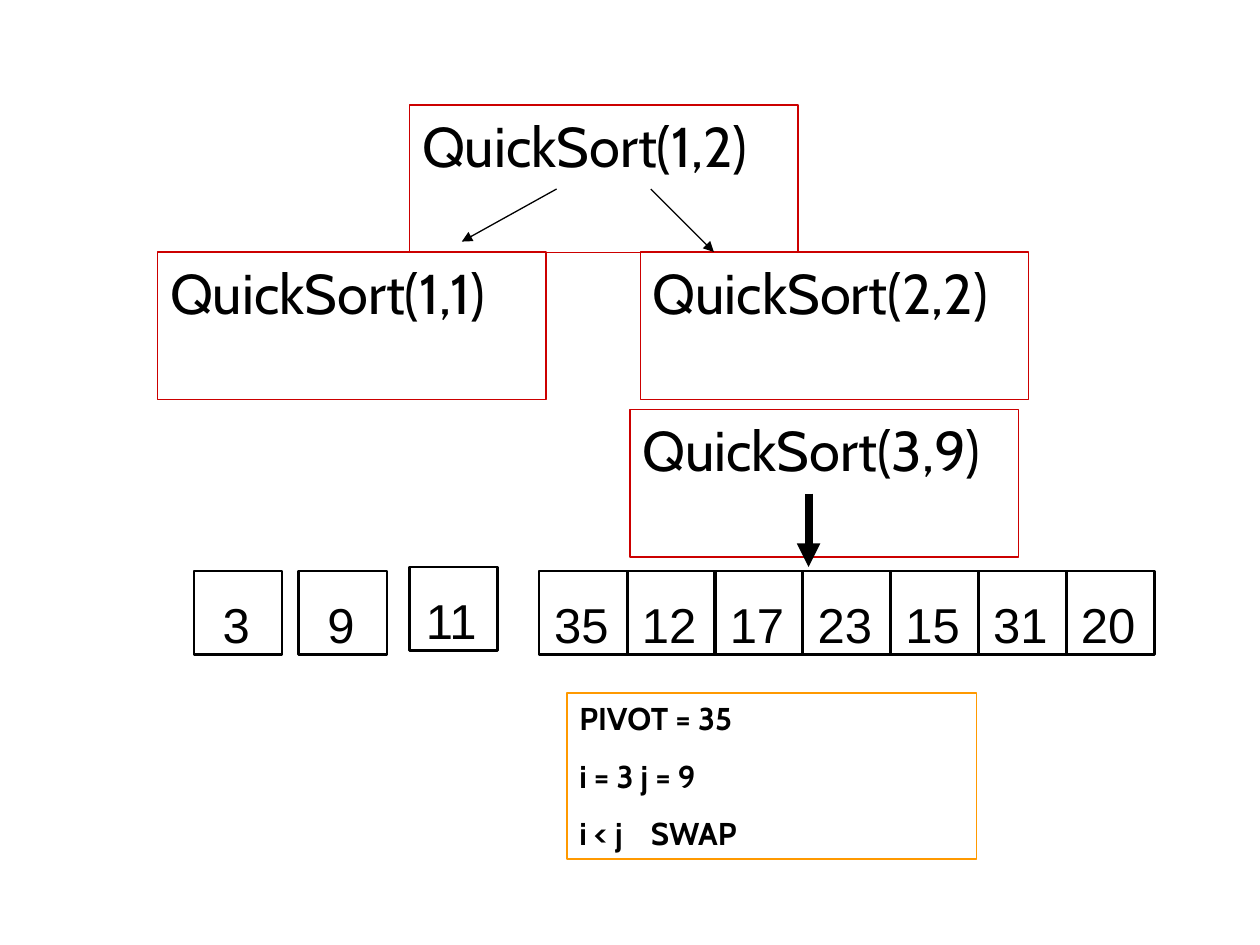
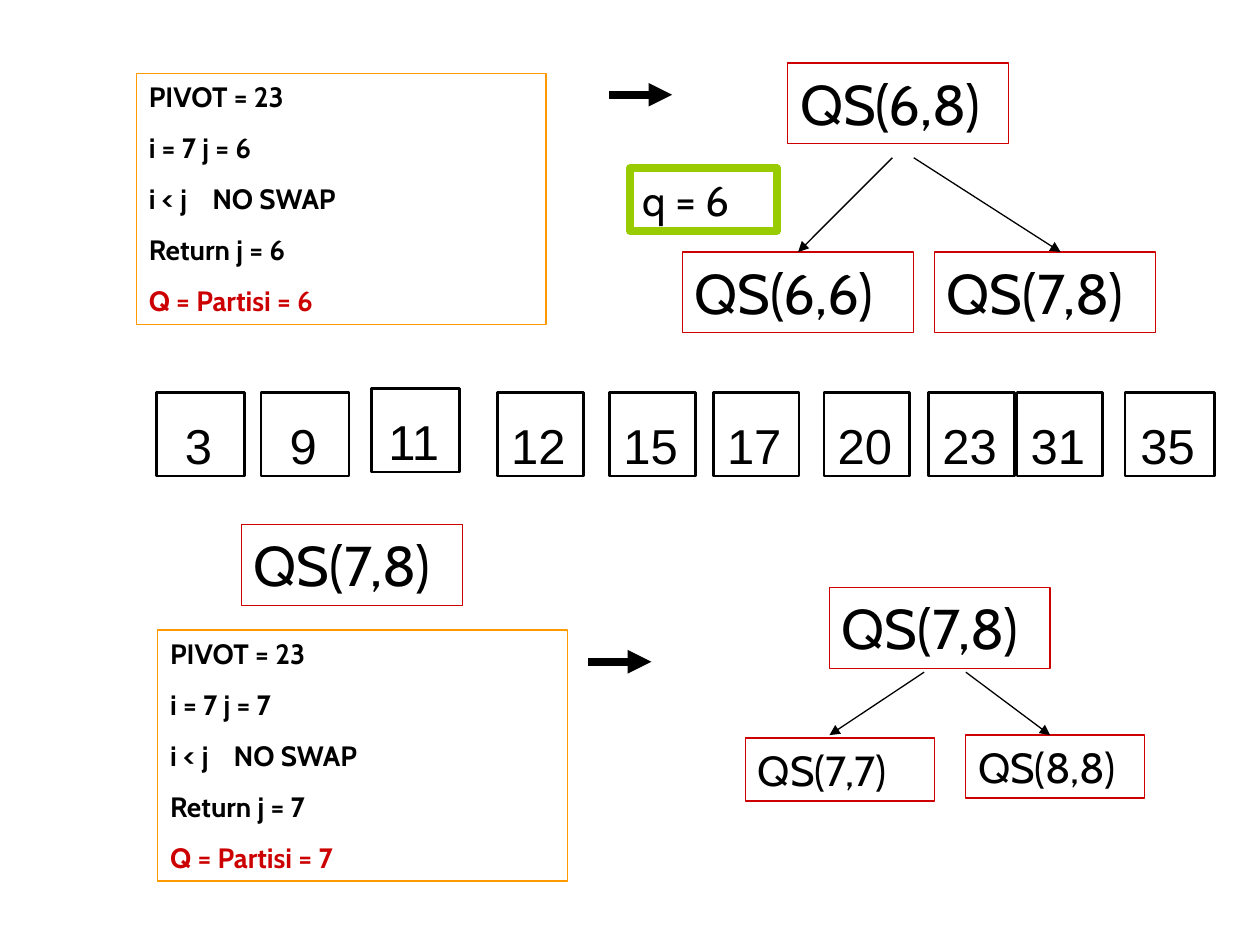
from dataclasses import dataclass

import pptx
import pptx.dml.color
import pptx.enum.shapes
import pptx.enum.text
import pptx.oxml.ns
import pptx.slide
import pptx.text.text
import pptx.util
from lxml import etree
from pptx.util import Cm

BLACK = pptx.dml.color.RGBColor(0x00, 0x00, 0x00)
RED = pptx.dml.color.RGBColor(0xCC, 0x00, 0x00)
ORANGE = pptx.dml.color.RGBColor(0xFF, 0x99, 0x00)
GREEN = pptx.dml.color.RGBColor(0x99, 0xCC, 0x00)

CODE_FONT = "Cabin"
NUMBER_FONT = "Arial"
THIN, CELL_BORDER, THICK = 0.75, 1.5, 4.5
CELL_HEIGHT = 1.69
CELL_PITCH = 1.77


@dataclass(frozen=True)
class Call:
    text: str
    left: float
    top: float
    width: float = 4.45
    height: float = 1.63
    size: int = 32
    border: pptx.dml.color.RGBColor = RED
    weight: float = THIN


@dataclass(frozen=True)
class Trace:
    steps: tuple[str, ...]
    left: float
    top: float
    height: float
    size: int
    width: float = 8.26


@dataclass(frozen=True)
class Cell:
    number: int
    left: float
    top: float
    width: float = 1.78


@dataclass(frozen=True)
class Arrow:
    start: tuple[float, float]
    end: tuple[float, float]
    weight: float = THIN


def format_runs(paragraph: pptx.text.text._Paragraph, font_name: str, size: int,
                color: pptx.dml.color.RGBColor = BLACK, bold: bool = False) -> None:
    for run in paragraph.runs:
        run.font.name = font_name
        run.font.size = pptx.util.Pt(size)
        run.font.color.rgb = color
        run.font.bold = bold


def draw_frame(slide: pptx.slide.Slide, left: float, top: float, width: float, height: float,
               border: pptx.dml.color.RGBColor, weight: float) -> pptx.text.text.TextFrame:
    frame = slide.shapes.add_shape(pptx.enum.shapes.MSO_SHAPE.RECTANGLE,
                                   Cm(left), Cm(top), Cm(width), Cm(height))
    frame.shadow.inherit = False
    frame.fill.background()
    frame.line.color.rgb = border
    frame.line.width = pptx.util.Pt(weight)
    frame.text_frame.word_wrap = True
    frame.text_frame.vertical_anchor = pptx.enum.text.MSO_ANCHOR.TOP
    return frame.text_frame


def draw_call(slide: pptx.slide.Slide, call: Call) -> None:
    content = draw_frame(slide, call.left, call.top, call.width, call.height,
                         call.border, call.weight)
    content.text = call.text
    content.paragraphs[0].alignment = pptx.enum.text.PP_ALIGN.LEFT
    format_runs(content.paragraphs[0], CODE_FONT, call.size)


def add_tab_stop(paragraph: pptx.text.text._Paragraph, position: float) -> None:
    properties = paragraph._p.get_or_add_pPr()
    stops = etree.SubElement(properties, pptx.oxml.ns.qn("a:tabLst"))
    etree.SubElement(stops, pptx.oxml.ns.qn("a:tab"), pos=str(Cm(position)), algn="l")


def draw_trace(slide: pptx.slide.Slide, trace: Trace) -> None:
    content = draw_frame(slide, trace.left, trace.top, trace.width, trace.height, ORANGE, THIN)
    content.text = "\n".join(trace.steps)
    for index, (paragraph, step) in enumerate(zip(content.paragraphs, trace.steps)):
        paragraph.alignment = pptx.enum.text.PP_ALIGN.LEFT
        if index:
            paragraph.space_before = pptx.util.Pt(trace.size * 0.625)
        if "\t" in step:
            add_tab_stop(paragraph, trace.size * 0.08)
        color = RED if step.startswith("Q") else BLACK
        format_runs(paragraph, CODE_FONT, trace.size, color, bold=True)


def draw_cell(slide: pptx.slide.Slide, cell: Cell) -> None:
    draw_frame(slide, cell.left, cell.top, cell.width, CELL_HEIGHT, BLACK, CELL_BORDER)
    label_width = 1.04 if cell.number < 10 else 1.6
    label_left = cell.left + (cell.width - label_width) / 2 - 0.04
    label = slide.shapes.add_textbox(Cm(label_left), Cm(cell.top + 0.35),
                                     Cm(label_width), Cm(1.44)).text_frame
    label.word_wrap = False
    label.text = str(cell.number)
    label.paragraphs[0].alignment = pptx.enum.text.PP_ALIGN.CENTER
    format_runs(label.paragraphs[0], NUMBER_FONT, 28)


def draw_arrow(slide: pptx.slide.Slide, arrow: Arrow) -> None:
    connector = slide.shapes.add_connector(pptx.enum.shapes.MSO_CONNECTOR.STRAIGHT,
                                           *(Cm(value) for value in arrow.start + arrow.end))
    connector.line.color.rgb = BLACK
    connector.line.width = pptx.util.Pt(arrow.weight)
    etree.SubElement(connector.line._get_or_add_ln(), pptx.oxml.ns.qn("a:tailEnd"),
                     type="triangle")
    etree.SubElement(connector._element.spPr, pptx.oxml.ns.qn("a:effectLst"))


def sorted_cells(left: float, top: float) -> list[Cell]:
    return [Cell(3, left, top), Cell(9, left + 2.11, top), Cell(11, left + 4.34, top - 0.08)]


def partition_steps(i: int, j: int) -> tuple[str, ...]:
    return ("PIVOT = 23", f"i = {i} j = {j}", "i < j\tNO SWAP",
            f"Return j = {j}", f"Q = Partisi = {j}")


def first_slide_parts() -> list[Call | Trace | Cell | Arrow]:
    calls = [Call(f"QuickSort({bounds})", left, top, 7.83, 2.97)
             for bounds, left, top in (("1,2", 8.26, 2.12), ("1,1", 3.18, 5.08),
                                       ("2,2", 12.91, 5.08), ("3,9", 12.7, 8.26))]
    unsorted = [Cell(number, 10.87 + index * CELL_PITCH, 11.51)
                for index, number in enumerate((35, 12, 17, 23, 15, 31, 20))]
    return [
        *calls,
        Arrow((11.22, 3.81), (9.31, 4.87)),
        Arrow((13.12, 3.81), (14.39, 5.08)),
        Arrow((16.3, 9.95), (16.3, 11.43), THICK),
        Trace(("PIVOT = 35", "i = 3 j = 9", "i < j\tSWAP"), 11.43, 13.97, 3.35, 18),
        *sorted_cells(3.91, 11.51),
        *unsorted,
    ]


def second_slide_parts() -> list[Call | Trace | Cell | Arrow]:
    row_top = 7.91
    placed = [Cell(number, left, row_top, 1.73)
              for number, left in ((12, 10.03), (15, 12.29), (17, 14.38),
                                   (20, 16.61), (23, 18.72), (31, 20.5))]
    return [
        Call("QS(6,8)", 15.88, 1.27),
        Call("QS(7,8)", 18.84, 5.08),
        Call("QS(6,6)", 13.76, 5.08, width=4.66),
        Arrow((17.99, 3.18), (16.09, 5.08)),
        Arrow((18.42, 3.18), (21.38, 5.08)),
        Call("q = 6", 12.7, 3.39, 2.96, 1.27, 24, GREEN, THICK),
        Trace(partition_steps(7, 6), 2.75, 1.48, 5.06, 16),
        Arrow((12.28, 1.91), (13.55, 1.91), THICK),
        *sorted_cells(3.15, row_top),
        *placed,
        Cell(35, 22.68, row_top, 1.8),
        Call("QS(7,8)", 4.87, 10.58),
        Trace(partition_steps(7, 7), 3.18, 12.7, 5.06, 16),
        Call("QS(7,8)", 16.72, 11.85),
        Call("QS(8,8)", 19.47, 14.82, 3.6, 1.27, 24),
        Call("QS(7,7)", 15.03, 14.88, 3.81, 1.27, 24),
        Arrow((18.63, 13.55), (16.72, 14.82)),
        Arrow((19.47, 13.55), (21.17, 14.82)),
        Arrow((11.86, 13.34), (13.13, 13.34), THICK),
    ]


DRAWERS = {Call: draw_call, Trace: draw_trace, Cell: draw_cell, Arrow: draw_arrow}


def main() -> None:
    presentation = pptx.Presentation()
    presentation.slide_width = Cm(25.4)
    presentation.slide_height = Cm(19.05)
    blank_layout = presentation.slide_layouts[6]
    for parts in (first_slide_parts(), second_slide_parts()):
        slide = presentation.slides.add_slide(blank_layout)
        for part in parts:
            DRAWERS[type(part)](slide, part)
    presentation.save("out.pptx")


if __name__ == "__main__":
    main()
